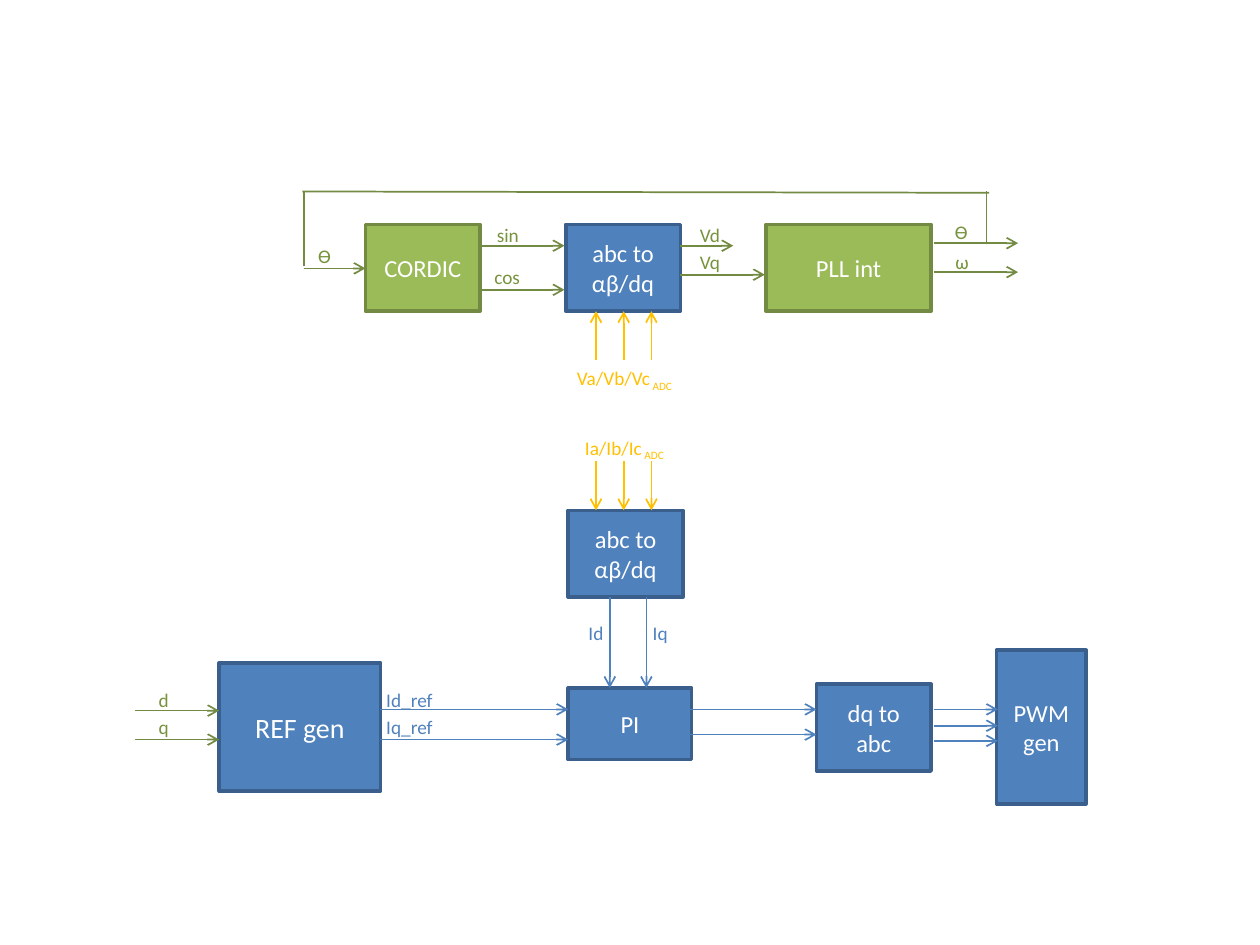
from dataclasses import dataclass

from lxml import etree
from pptx import Presentation
from pptx.dml.color import RGBColor
from pptx.enum.shapes import MSO_CONNECTOR, MSO_SHAPE
from pptx.enum.text import MSO_ANCHOR, MSO_AUTO_SIZE, PP_ALIGN
from pptx.oxml.ns import qn
from pptx.util import Inches, Pt


@dataclass(frozen=True)
class Theme:
    """Colours, font and sizes of the diagram."""
    font: str = "Calibri"
    white: str = "FFFFFF"
    blue: str = "4F81BD"
    blue_edge: str = "3A5F8C"
    green: str = "9BBB59"
    green_edge: str = "738A42"
    green_text: str = "77933C"
    amber: str = "FFC000"
    block_pt: int = 14
    large_pt: int = 16
    label_pt: int = 11
    edge_pt: int = 2
    line_pt: int = 1


THEME = Theme()


@dataclass(frozen=True)
class Block:
    """A function block of the control loop."""
    text: str
    left: float
    top: float
    width: float = 0.91
    height: float = 0.69
    fill: str = THEME.blue
    edge: str = THEME.blue_edge
    size: int = THEME.block_pt


@dataclass(frozen=True)
class Signal:
    """A straight signal line, with an arrowhead at its end if wanted."""
    x1: float
    y1: float
    x2: float
    y2: float
    color: str = THEME.blue
    arrow: bool = True


@dataclass(frozen=True)
class Label:
    """A signal name, with an optional subscript."""
    text: str
    left: float
    top: float
    width: float
    color: str = THEME.blue
    subscript: str = ""


def style_text(frame, size: int, color: str) -> None:
    """Centre the first paragraph and format its runs."""
    paragraph = frame.paragraphs[0]
    paragraph.alignment = PP_ALIGN.CENTER
    for run in paragraph.runs:
        run.font.name = THEME.font
        run.font.size = Pt(size)
        run.font.color.rgb = RGBColor.from_string(color)


def draw_block(slide, block: Block) -> None:
    """Draw a filled rectangle with centred text."""
    shape = slide.shapes.add_shape(
        MSO_SHAPE.RECTANGLE, Inches(block.left), Inches(block.top),
        Inches(block.width), Inches(block.height))
    shape.shadow.inherit = False
    shape.fill.solid()
    shape.fill.fore_color.rgb = RGBColor.from_string(block.fill)
    shape.line.color.rgb = RGBColor.from_string(block.edge)
    shape.line.width = Pt(THEME.edge_pt)
    frame = shape.text_frame
    frame.word_wrap = True
    frame.vertical_anchor = MSO_ANCHOR.MIDDLE
    frame.paragraphs[0].text = block.text
    style_text(frame, block.size, THEME.white)


def draw_signal(slide, signal: Signal) -> None:
    """Draw a signal as a straight connector."""
    line = slide.shapes.add_connector(
        MSO_CONNECTOR.STRAIGHT, Inches(signal.x1), Inches(signal.y1),
        Inches(signal.x2), Inches(signal.y2))
    line.line.color.rgb = RGBColor.from_string(signal.color)
    line.line.width = Pt(THEME.line_pt)
    if signal.arrow:
        outline = line.line._get_or_add_ln()
        etree.SubElement(outline, qn("a:tailEnd"), type="arrow")
    etree.SubElement(line._element.spPr, qn("a:effectLst"))


def draw_label(slide, label: Label) -> None:
    """Write a signal name."""
    box = slide.shapes.add_textbox(
        Inches(label.left), Inches(label.top), Inches(label.width), Inches(0.29))
    frame = box.text_frame
    frame.word_wrap = bool(label.subscript)
    frame.auto_size = MSO_AUTO_SIZE.SHAPE_TO_FIT_TEXT
    paragraph = frame.paragraphs[0]
    paragraph.add_run().text = label.text
    if label.subscript:
        run = paragraph.add_run()
        run.text = " " + label.subscript
        run._r.get_or_add_rPr().set("baseline", "-25000")
    style_text(frame, THEME.label_pt, label.color)


def across(x1: float, x2: float, rows: tuple[float, ...], color: str = THEME.blue) -> list[Signal]:
    """Return parallel horizontal arrows, one for each row."""
    return [Signal(x1, y, x2, y, color) for y in rows]


def upright(y1: float, y2: float, columns: tuple[float, ...], color: str = THEME.blue) -> list[Signal]:
    """Return parallel vertical arrows, one for each column."""
    return [Signal(x, y1, x, y2, color) for x in columns]


GREEN_BLOCK = dict(fill=THEME.green, edge=THEME.green_edge)
PHASES = (4.73, 4.95, 5.17)
EDGE, NAME = THEME.green_edge, THEME.green_text

BLOCKS = [
    Block("CORDIC", 2.9, 1.78, **GREEN_BLOCK),
    Block("abc to\nαβ/dq", 4.49, 1.78),
    Block("PLL int", 6.08, 1.78, width=1.31, **GREEN_BLOCK),
    Block("abc to\nαβ/dq", 4.51, 4.05),
    Block("REF gen", 1.74, 5.26, 1.28, 1.02, size=THEME.large_pt),
    Block("PI", 4.51, 5.46, 0.98, 0.57),
    Block("dq to abc", 6.48, 5.43),
    Block("PWM gen", 7.91, 5.16, 0.71, 1.22),
]

SIGNALS = [
    *across(2.41, 2.9, (2.13,), EDGE),
    *across(3.81, 4.48, (1.95, 2.3), EDGE),
    *across(5.4, 5.82, (1.95,), EDGE),
    *across(5.4, 6.07, (2.18,), EDGE),
    *across(7.41, 8.08, (1.93, 2.16), EDGE),
    Signal(2.41, 2.11, 2.41, 1.52, EDGE, arrow=False),
    Signal(7.85, 1.53, 2.4, 1.52, EDGE, arrow=False),
    Signal(7.83, 1.94, 7.83, 1.52, EDGE, arrow=False),
    *upright(2.86, 2.47, PHASES, THEME.amber),
    *upright(3.66, 4.05, PHASES, THEME.amber),
    *upright(4.74, 5.46, (4.84, 5.13)),
    *across(1.07, 1.74, (5.64, 5.87), EDGE),
    *across(3.02, 4.51, (5.63, 5.87)),
    *across(5.45, 6.48, (5.63, 5.83)),
    *across(7.41, 7.92, (5.63, 5.76, 5.88)),
]

LABELS = [
    Label("ϴ", 2.42, 1.89, 0.31, NAME),
    Label("sin", 3.84, 1.72, 0.38, NAME),
    Label("cos", 3.82, 2.06, 0.41, NAME),
    Label("Vd", 5.45, 1.72, 0.37, NAME),
    Label("Vq", 5.45, 1.94, 0.37, NAME),
    Label("ϴ", 7.48, 1.7, 0.3, NAME),
    Label("ω", 7.48, 1.94, 0.31, NAME),
    Label("Va/Vb/Vc", 4.39, 2.86, 1.13, THEME.amber, "ADC"),
    Label("Ia/Ib/Ic", 4.39, 3.41, 1.13, THEME.amber, "ADC"),
    Label("Id", 4.57, 4.88, 0.32),
    Label("Iq", 5.08, 4.88, 0.32),
    Label("d", 1.16, 5.41, 0.28, NAME),
    Label("q", 1.16, 5.63, 0.28, NAME),
    Label("Id_ref", 2.96, 5.41, 0.58),
    Label("Iq_ref", 2.96, 5.63, 0.58),
]


def main() -> None:
    """Build and save the control loop slide."""
    deck = Presentation()
    deck.slide_width, deck.slide_height = Inches(10), Inches(7.5)
    slide = deck.slides.add_slide(deck.slide_layouts[6])
    for block in BLOCKS:
        draw_block(slide, block)
    for signal in SIGNALS:
        draw_signal(slide, signal)
    for label in LABELS:
        draw_label(slide, label)
    deck.save("out.pptx")


main()
